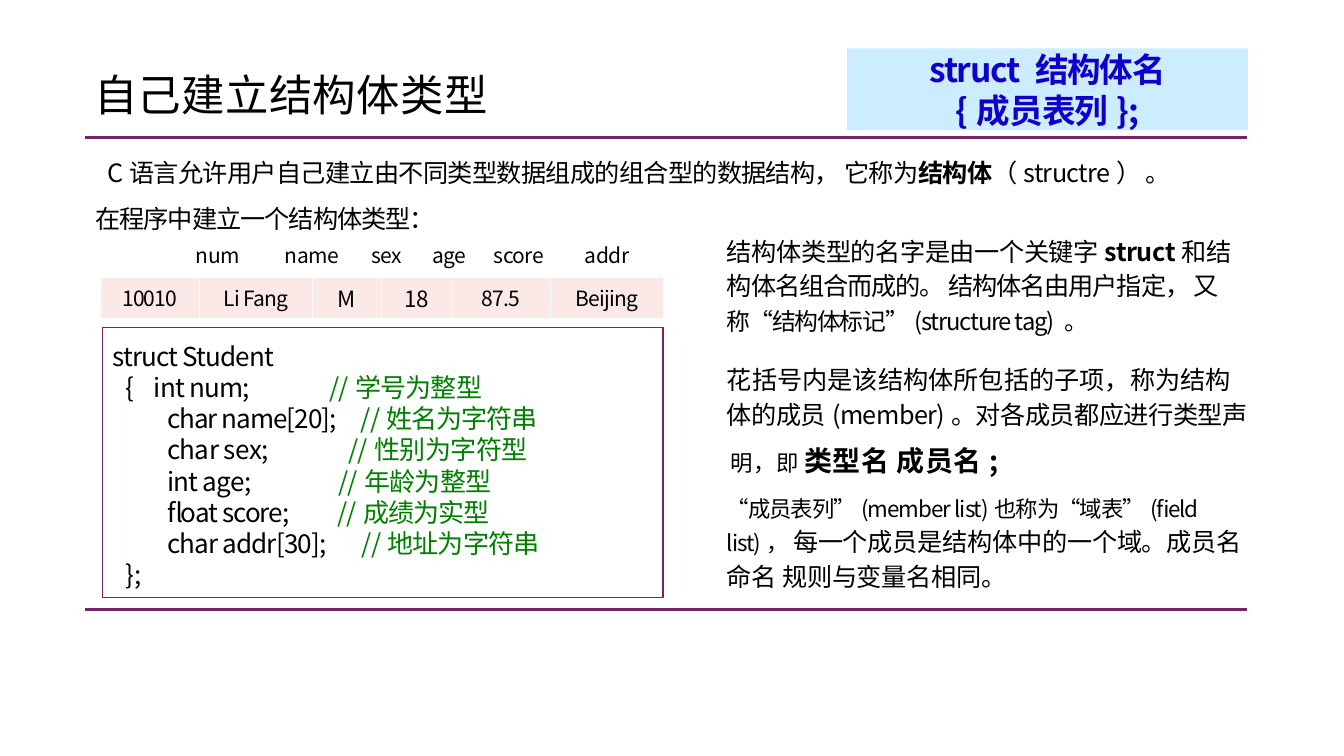
from collections import namedtuple
from dataclasses import dataclass

from lxml import etree
from pptx import Presentation
from pptx.dml.color import RGBColor
from pptx.enum.shapes import MSO_CONNECTOR, MSO_SHAPE
from pptx.enum.text import MSO_ANCHOR, MSO_AUTO_SIZE, PP_ALIGN
from pptx.oxml.ns import qn
from pptx.util import Cm, Pt

RECT = MSO_SHAPE.RECTANGLE
LINE = MSO_CONNECTOR.STRAIGHT
TOP, MID = MSO_ANCHOR.TOP, MSO_ANCHOR.MIDDLE
LEFT, CENTER = PP_ALIGN.LEFT, PP_ALIGN.CENTER
FIXED = MSO_AUTO_SIZE.NONE

Box = namedtuple("Box", "x y w h")
Run = namedtuple("Run", "text size color bold track", defaults=(None, False, 0))


@dataclass(frozen=True)
class Theme:
    font: str = "Noto Sans CJK SC"
    ink: str = "000000"
    rule: str = "782367"
    note: str = "008000"
    key: str = "1100CC"
    sky: str = "CCECFF"
    cell: str = "FBE9E8"
    paper: str = "FFFFFF"
    title: float = 31
    badge: float = 24
    term: float = 20
    code: float = 18.6
    body: float = 18
    tag: float = 17
    small: float = 16
    grid: float = 15


T = Theme()


def rgb(code):
    return RGBColor.from_string(code)


def apply(item, values):
    for name, value in values.items():
        setattr(item, name, value)


def lengths(box):
    return [Cm(n) for n in box]


def frame(text, anchor=MID, pad=(0, 0)):
    side, head = map(Cm, pad)
    apply(text, dict(word_wrap=True, auto_size=FIXED, vertical_anchor=anchor,
                     margin_left=side, margin_right=side,
                     margin_top=head, margin_bottom=0))
    return text


def write(para, runs, align=LEFT, pitch=None, gap=0, inset=0):
    props = para._p.get_or_add_pPr()
    apply(para, dict(alignment=align, space_before=Pt(gap),
                     line_spacing=Pt(pitch) if pitch else 1.0))
    props.set("marL", str(Cm(inset)))
    props.set("indent", "0")
    etree.SubElement(props, qn("a:buNone"))
    for part in runs:
        run = para.add_run()
        run.text = part.text
        apply(run.font, dict(size=Pt(part.size), bold=part.bold, name=T.font))
        run.font.color.rgb = rgb(part.color or T.ink)
        rpr = run._r.get_or_add_rPr()
        rpr.set("spc", str(round(part.track * 100)))
        etree.SubElement(rpr, qn("a:ea"), typeface=T.font)


def fill_text(text, rows):
    for i, (runs, style) in enumerate(rows):
        para = text.add_paragraph() if i else text.paragraphs[0]
        write(para, runs, **style)


def label(slide, box, runs, **style):
    text = frame(slide.shapes.add_textbox(*lengths(box)).text_frame)
    fill_text(text, [(runs, style)])


def panel(slide, box, fill, line=None):
    shape = slide.shapes.add_shape(RECT, *lengths(box))
    shape.shadow.inherit = False
    shape.fill.solid()
    shape.fill.fore_color.rgb = rgb(fill)
    if line:
        shape.line.color.rgb = rgb(line)
        shape.line.width = Pt(1)
    else:
        shape.line.fill.background()
    return shape.text_frame


def place(shape, box):
    apply(shape, dict(zip(("left", "top", "width", "height"), lengths(box))))
    return shape.text_frame


def heading(slide, box):
    text = frame(place(slide.shapes.title, Box(box.x + 0.22, box.y + 0.4, 12, 1.5)))
    fill_text(text, [([Run("自己建立结构体类型", T.title, track=0.3)], {})])
    text = frame(panel(slide, Box(box.x + box.w - 10.1, box.y, 10.1, 2.06), T.sky))
    style = dict(align=CENTER, pitch=29.5)
    fill_text(text, [([Run(words, T.badge, T.key, True, track)], style)
                     for words, track in (("struct 结构体名", -0.9), ("{成员表列};", -0.5))])


def rules(slide, box):
    for y in (box.y, box.y + box.h):
        line = slide.shapes.add_connector(
            LINE, Cm(box.x), Cm(y), Cm(box.x + box.w), Cm(y))
        line.line.color.rgb = rgb(T.rule)
        line.line.width = Pt(2)
        etree.SubElement(line._element.spPr, qn("a:effectLst"))


def intro(slide, box):
    label(slide, Box(box.x + 0.3, box.y, box.w, 0.9), [
        Run("C语言允许用户自己建立由不同类型数据", T.body, track=-0.5),
        Run("组成的组合型的数据结构， 它称为", T.body, track=-0.5),
        Run("结构体", T.body, bold=True, track=-0.5),
        Run("（structre） 。", T.body, track=-0.5)])
    label(slide, Box(box.x, box.y + 1.16, 13, 0.9),
          [Run("在程序中建立一个结构体类型：", T.body, track=-0.7)])


def record(slide, box):
    names = ("num", "name", "sex", "age", "score", "addr")
    mids = (2.97, 5.34, 7.23, 8.8, 10.56, 12.78)
    for name, mid in zip(names, mids):
        label(slide, Box(box.x + mid - 0.75, box.y, 1.5, 0.8),
              [Run(name, T.grid, track=-0.4)], align=CENTER)
    values = ("10010", "Li Fang", "M", "18", "87.5", "Beijing")
    widths = (2.51, 2.84, 1.75, 1.75, 2.51, 2.84)
    spot = Box(box.x, box.y + 0.94, box.w, 1.04)
    table = slide.shapes.add_table(1, len(values), *lengths(spot)).table
    apply(table, dict(first_row=False, horz_banding=False))
    for i, (value, width) in enumerate(zip(values, widths)):
        table.columns[i].width = Cm(width)
        cell = table.cell(0, i)
        apply(cell, dict(vertical_anchor=MID, margin_left=0, margin_right=0,
                         margin_top=0, margin_bottom=0))
        size = T.small if value in ("M", "18") else T.grid
        write(cell.text_frame.paragraphs[0], [Run(value, size, track=-0.5)], CENTER)
        props = cell._tc.get_or_add_tcPr()
        for side in ("lnL", "lnR", "lnB"):
            edge = etree.SubElement(props, qn("a:" + side), w=str(Pt(1)))
            paint = etree.SubElement(edge, qn("a:solidFill"))
            etree.SubElement(paint, qn("a:srgbClr"), val=T.paper)
        cell.fill.solid()
        cell.fill.fore_color.rgb = rgb(T.cell)


def listing(slide, box):
    text = frame(panel(slide, box, T.paper, T.rule), TOP, (0.25, 0.33))
    edge, deep = 0.33, 1.37
    lines = (
        (0, "struct Student", "", -0.6),
        (edge, "{    int num;                ", "//学号为整型", -0.6),
        (deep, "char name[20];     ", "//姓名为字符串", -0.7),
        (deep, "char sex;               ", "//性别为字符型", -0.4),
        (deep, "int age;                 ", "//年龄为整型", -0.5),
        (deep, "float score;          ", "//成绩为实型", -0.7),
        (deep, "char addr[30];       ", "//地址为字符串", -0.6),
        (edge, "};", "", -0.3))
    rows = []
    for inset, code, note, track in lines:
        runs = [Run(code, T.code, track=track)]
        if note:
            runs.append(Run(note, T.code, T.note, track=track))
        rows.append((runs, dict(pitch=22.2, inset=inset)))
    fill_text(text, rows)


def prose(slide, box):
    text = frame(place(slide.placeholders[1], box), TOP)
    fill_text(text, [
        ([Run("结构体类型的名字是由一个关键字", T.body, track=-0.3),
          Run("struct", T.body, bold=True, track=-0.3),
          Run("和结", T.body, track=-0.4),
          Run("构体名组合而成的。 结构体名由用户指定， 又", T.body, track=-0.8),
          Run("称“结构体标记”(structure tag) 。", T.tag, track=-0.9)],
         dict(pitch=24.3)),
        ([Run("花括号内是该结构体所包括的子项，称为结构", T.body),
          Run("体的成员(member)。对各成员都应进行类型声", T.body, track=-0.4)],
         dict(pitch=24.6, gap=18)),
        ([Run("明，即 ", T.small, track=0.2),
          Run("类型名 成员名;", T.term, bold=True, track=0.4)],
         dict(pitch=24.6, gap=9.5, inset=0.1)),
        ([Run("“成员表列”(member list)也称为“域表”(field list)， ", T.small, track=-0.7),
          Run("每一个成员是结构体中的一个域。成员名命名 规则与变量名相同。",
              T.body, track=-0.2)],
         dict(pitch=24.8, gap=7.5))])


def main():
    deck = Presentation()
    apply(deck, dict(slide_width=Cm(33.87), slide_height=Cm(19.05)))
    slide = deck.slides.add_slide(deck.slide_layouts[1])
    heading(slide, Box(2.15, 1.22, 29.3, 2.06))
    rules(slide, Box(2.15, 3.47, 29.27, 11.88))
    intro(slide, Box(2.4, 3.9, 28, 2.1))
    record(slide, Box(2.52, 6.04, 14.2, 2))
    listing(slide, Box(2.59, 8.26, 14.12, 6.8))
    prose(slide, Box(18.32, 5.87, 13.2, 9))
    deck.save("out.pptx")


if __name__ == "__main__":
    main()
